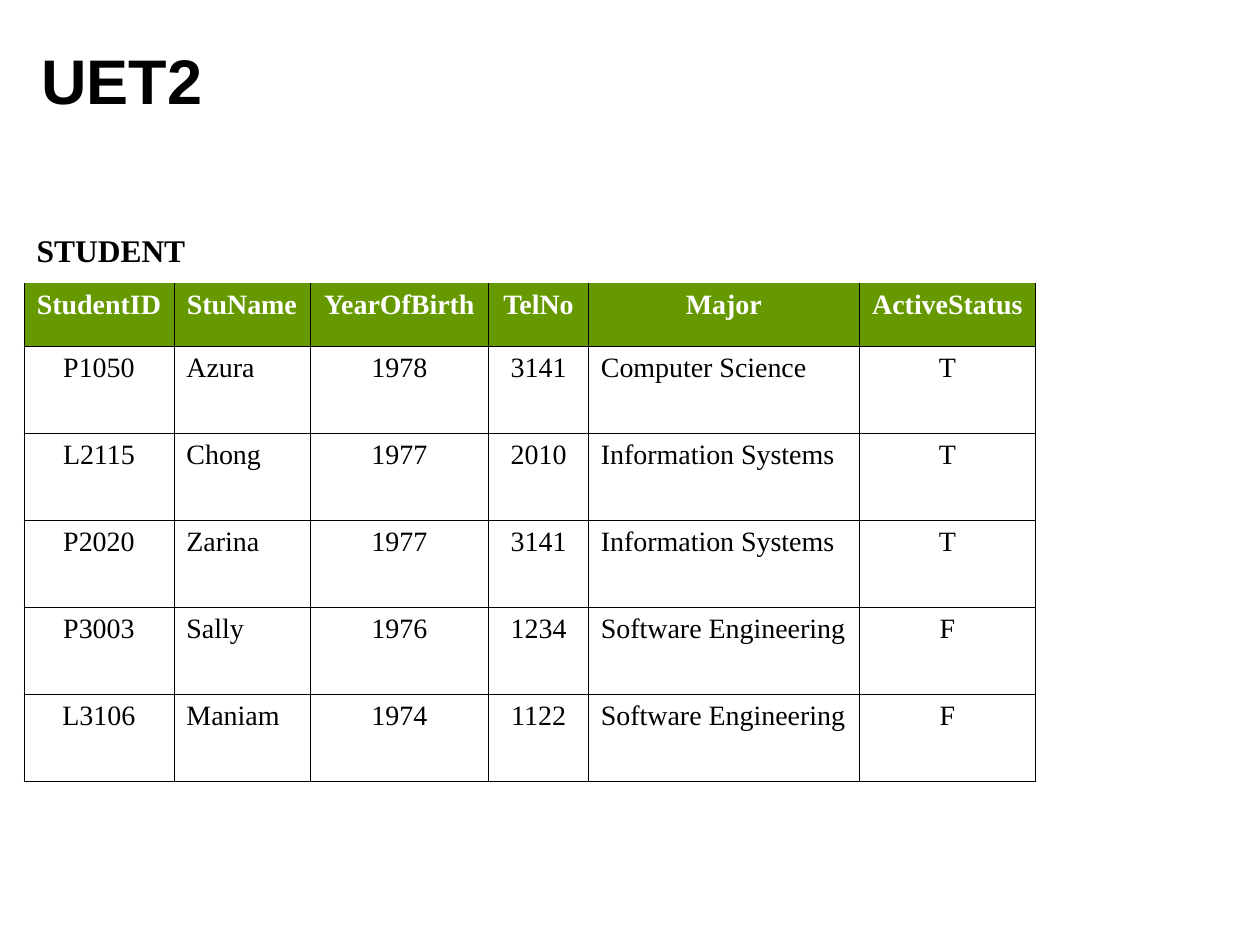
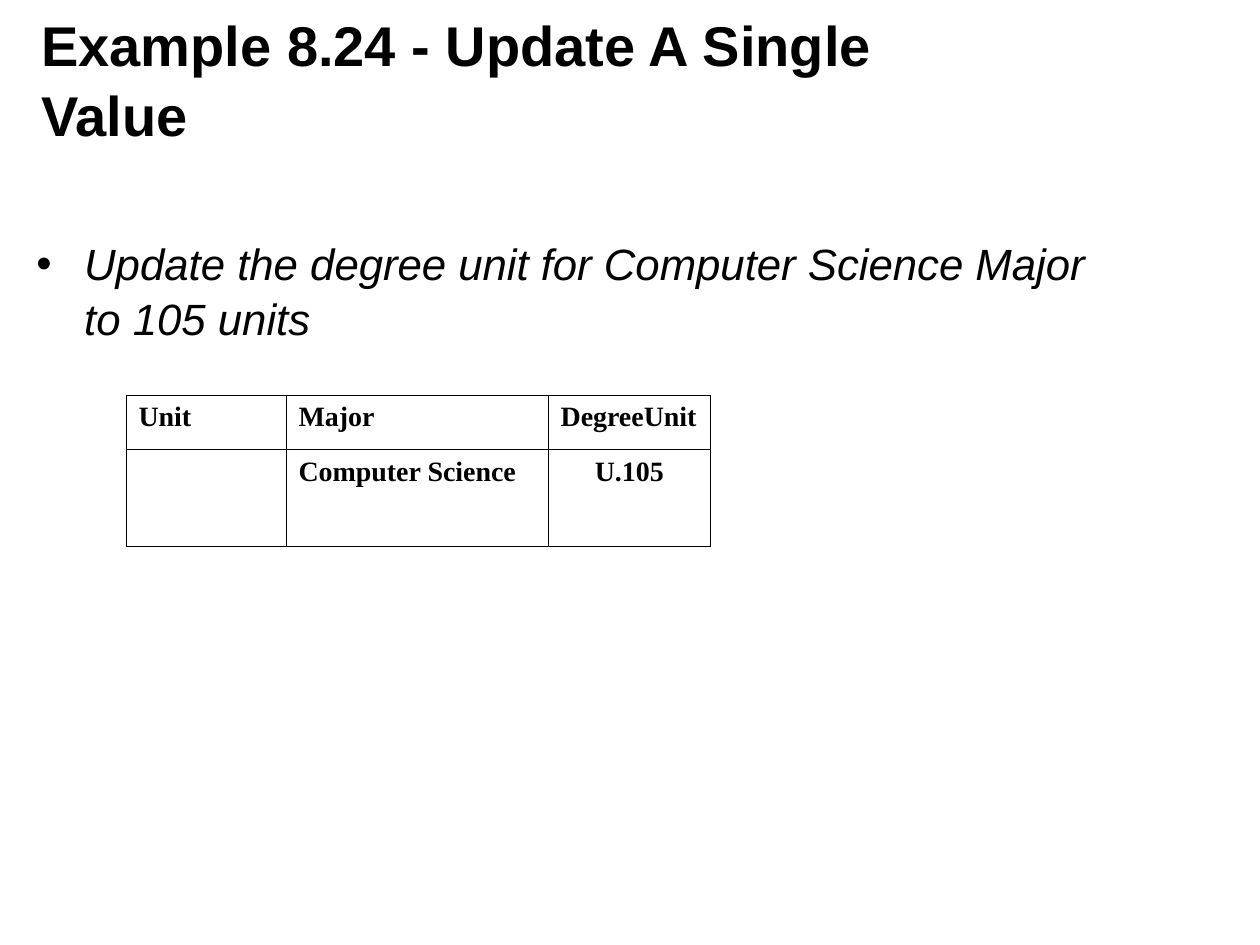
from lxml.etree import SubElement
from pptx import Presentation
from pptx.dml.color import RGBColor
from pptx.enum.text import MSO_ANCHOR, PP_ALIGN
from pptx.oxml.ns import qn
from pptx.util import Inches, Pt

BLACK = RGBColor(0x00, 0x00, 0x00)
WHITE = RGBColor(0xFF, 0xFF, 0xFF)
GREEN = RGBColor(0x66, 0x99, 0x00)

HEADING_FONT = "Arial"
TABLE_FONT = "Times New Roman"
NO_STYLE = "{2D5ABB26-0587-4C30-8999-92F81FD0307C}"
LEFT, CENTER, JUSTIFY = PP_ALIGN.LEFT, PP_ALIGN.CENTER, PP_ALIGN.JUSTIFY


def write(tf, text, size=16, font=TABLE_FONT, color=BLACK, bold=False,
          italic=False, align=LEFT, spacing=None):
    """Put one formatted paragraph into a text frame."""
    p = tf.paragraphs[0]
    p.alignment = align
    p.line_spacing = spacing
    r = p.add_run()
    r.text = text
    r.font.name = font
    r.font.size = Pt(size)
    r.font.bold = bold
    r.font.italic = italic
    r.font.color.rgb = color
    return p


class Deck:
    """Shared style and the slide being filled."""

    def __init__(self):
        self.prs = Presentation()
        self.prs.slide_width = Inches(10)
        self.prs.slide_height = Inches(7.5)
        self.slide = None

    def add_slide(self, title, size):
        self.slide = self.prs.slides.add_slide(self.prs.slide_layouts[6])
        tf = self.text_box(0.23, 0.15, 8.03, 0.93, MSO_ANCHOR.MIDDLE)
        write(tf, title, size, HEADING_FONT, bold=True, spacing=1.05)

    def text_box(self, x, y, w, h, anchor=MSO_ANCHOR.TOP):
        sp = self.slide.shapes.add_textbox(Inches(x), Inches(y), Inches(w), Inches(h))
        tf = sp.text_frame
        tf.word_wrap = True
        tf.vertical_anchor = anchor
        return tf

    def bullet(self, text):
        tf = self.text_box(0.19, 1.81, 8.72, 4.82)
        p = write(tf, text, 25, HEADING_FONT, italic=True, spacing=1.05)
        pPr = p._p.get_or_add_pPr()
        pPr.set("marL", str(Inches(0.38)))
        pPr.set("indent", str(-Inches(0.38)))
        SubElement(pPr, qn("a:buFont")).set("typeface", HEADING_FONT)
        SubElement(pPr, qn("a:buChar")).set("char", "•")

    def table(self, x, y, widths, heights):
        frame = self.slide.shapes.add_table(
            len(heights), len(widths), Inches(x), Inches(y),
            Inches(sum(widths)), Inches(sum(heights)))
        table = frame.table
        table.first_row = table.horz_banding = False
        table._tbl.tblPr.find(qn("a:tableStyleId")).text = NO_STYLE
        for column, width in zip(table.columns, widths):
            column.width = Inches(width)
        for row, height in zip(table.rows, heights):
            row.height = Inches(height)
        return table

    def cell(self, cell, text, sides="LRTB", fill=None, **fmt):
        tcPr = cell._tc.get_or_add_tcPr()
        for side in sides:
            ln = SubElement(tcPr, qn(f"a:ln{side}"), w=str(Pt(0.45)))
            solid = SubElement(ln, qn("a:solidFill"))
            SubElement(solid, qn("a:srgbClr")).set("val", str(BLACK))
        if fill is None:
            cell.fill.background()
        else:
            cell.fill.solid()
            cell.fill.fore_color.rgb = fill
        if text:
            write(cell.text_frame, text, **fmt)


def student_slide(deck):
    deck.add_slide("UET2", 36)
    headers = ["StudentID", "StuName", "YearOfBirth", "TelNo", "Major", "ActiveStatus"]
    aligns = [CENTER, LEFT, CENTER, CENTER, LEFT, CENTER]
    students = [
        ("P1050", "Azura", "1978", "3141", "Computer Science", "T"),
        ("L2115", "Chong", "1977", "2010", "Information Systems", "T"),
        ("P2020", "Zarina", "1977", "3141", "Information Systems", "T"),
        ("P3003", "Sally", "1976", "1234", "Software Engineering", "F"),
        ("L3106", "Maniam", "1974", "1122", "Software Engineering", "F"),
    ]
    table = deck.table(0.19, 1.81, [1.19, 1.08, 1.42, 0.79, 2.15, 1.4],
                       [0.44, 0.5] + [0.69] * len(students))

    # Table name across all columns
    table.cell(0, 0).merge(table.cell(0, len(headers) - 1))
    deck.cell(table.cell(0, 0), "STUDENT", sides="", size=18, bold=True)

    # Column headers
    for c, header in enumerate(headers):
        deck.cell(table.cell(1, c), header, sides="LRB", fill=GREEN,
                  color=WHITE, bold=True, align=CENTER)

    # Student records
    for r, student in enumerate(students, start=2):
        for c, (value, align) in enumerate(zip(student, aligns)):
            deck.cell(table.cell(r, c), value, align=align)


def update_slide(deck):
    deck.add_slide("Example 8.24 - Update A Single Value", 32)
    deck.bullet("Update the degree unit for Computer Science Major to 105 units")

    # Updated record
    rows = [
        [("Unit", JUSTIFY), ("Major", JUSTIFY), ("DegreeUnit", JUSTIFY)],
        [("", LEFT), ("Computer Science", LEFT), ("U.105", CENTER)],
    ]
    table = deck.table(1, 3.14, [1.27, 2.08, 1.29], [0.43, 0.77])
    for r, row in enumerate(rows):
        for c, (value, align) in enumerate(row):
            deck.cell(table.cell(r, c), value, bold=True, align=align)


def main():
    deck = Deck()
    student_slide(deck)
    update_slide(deck)
    deck.prs.save("out.pptx")


if __name__ == "__main__":
    main()
